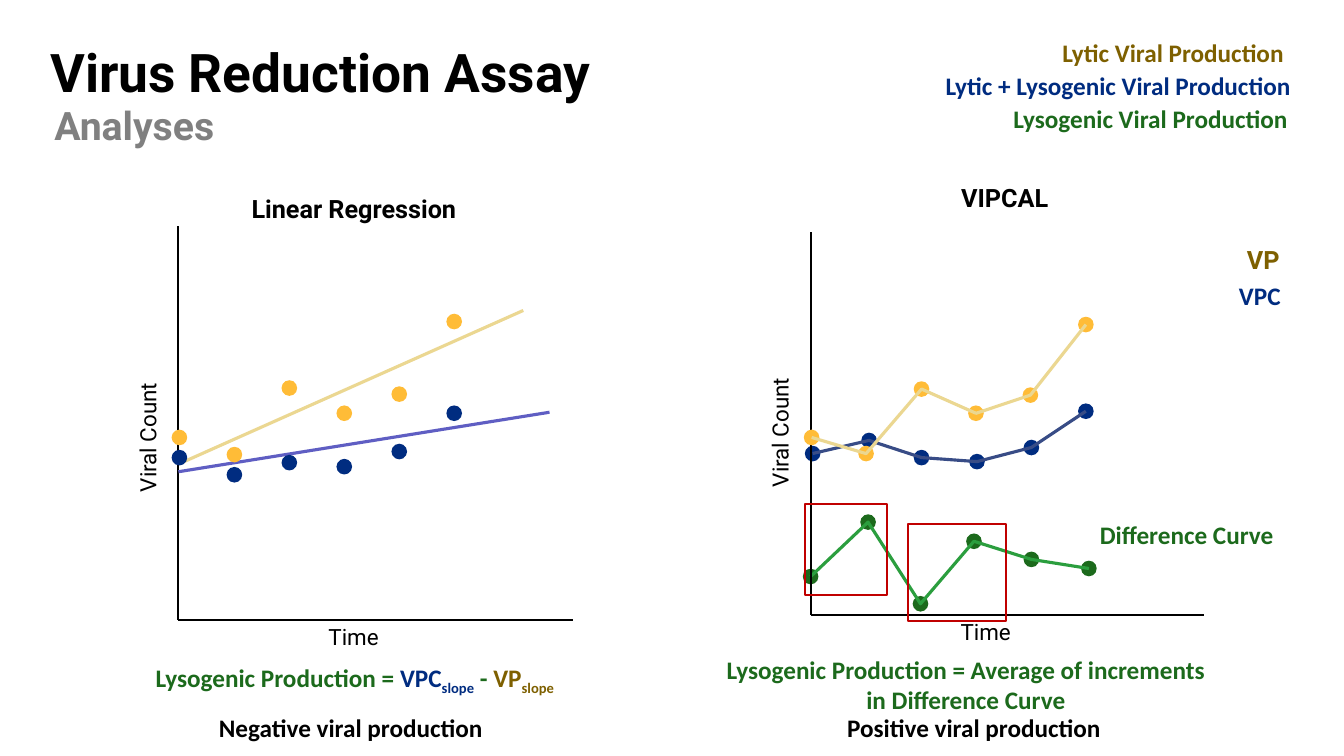
import dataclasses

import lxml.etree
import pptx
import pptx.dml.color
import pptx.enum.shapes
import pptx.enum.text
import pptx.oxml.ns
import pptx.util

ALIGN = pptx.enum.text.PP_ALIGN
ANCHOR = pptx.enum.text.MSO_ANCHOR


@dataclasses.dataclass(frozen=True)
class Theme:
    black: str = "000000"
    gray: str = "808080"
    lytic: str = "7E6000"
    total: str = "002C80"
    lysogenic: str = "1C6A1C"
    vp_dot: str = "FFBC37"
    vp_line: str = "EBD791"
    vpc_trend: str = "5F5EC3"
    vpc_line: str = "384C86"
    difference_line: str = "2B9E3E"
    highlight: str = "C00000"
    heading: str = "Roboto"
    body: str = "Calibri"
    title_size: float = 38
    subtitle_size: float = 28
    text_size: float = 18
    axis_size: float = 16
    axis_width: float = 1.42
    curve_width: float = 2.25
    frame_width: float = 1.5


@dataclasses.dataclass(frozen=True)
class Box:
    left: float
    top: float
    width: float
    height: float

    def at(self, x, height):
        """Grid position of a point given from the lower left corner."""
        return self.left + x, self.top + self.height - height


THEME = Theme()
DOT = 1.55  # dot diameter in grid units


def grid(units):
    """One grid column or row is a tenth of an inch."""
    return pptx.util.Inches(units / 10)


def rgb(color):
    return pptx.dml.color.RGBColor.from_string(color)


def add_text(slide, text, left, top, width, height=4, *, color=THEME.black, font=THEME.body,
             size=THEME.text_size, bold=True, align=ALIGN.CENTER, anchor=ANCHOR.TOP,
             wrap=True, rotation=0, line_spacing=None):
    """Text is a string or a list of (text, color, baseline) runs."""
    shape = slide.shapes.add_textbox(*map(grid, (left, top, width, height)))
    shape.rotation = rotation
    frame = shape.text_frame
    frame.word_wrap = wrap
    frame.vertical_anchor = anchor
    paragraph = frame.paragraphs[0]
    paragraph.alignment = align
    paragraph.line_spacing = line_spacing
    for words, run_color, baseline in [(text, color, 0)] if isinstance(text, str) else text:
        run = paragraph.add_run()
        run.text = words
        run.font.name, run.font.size, run.font.bold = font, pptx.util.Pt(size), bold
        run.font.color.rgb = rgb(run_color)
        if baseline:
            run.font._element.set("baseline", str(baseline * 1000))


def add_line(slide, start, end, color, width):
    connector = slide.shapes.add_connector(
        pptx.enum.shapes.MSO_CONNECTOR.STRAIGHT, *map(grid, (*start, *end)))
    connector.line.color.rgb = rgb(color)
    connector.line.width = pptx.util.Pt(width)
    properties = connector._element.spPr
    lxml.etree.SubElement(properties, pptx.oxml.ns.qn("a:effectLst"))


def outline(shape, color, width):
    shape.shadow.inherit = False
    shape.fill.background()
    shape.line.color.rgb = rgb(color)
    shape.line.width = pptx.util.Pt(width)


def add_dots(slide, box, points, color):
    for point in points:
        x, y = box.at(*point)
        dot = slide.shapes.add_shape(
            pptx.enum.shapes.MSO_SHAPE.OVAL,
            *map(grid, (x - DOT / 2, y - DOT / 2, DOT, DOT)))
        dot.shadow.inherit = False
        dot.fill.solid()
        dot.fill.fore_color.rgb = rgb(color)
        dot.line.fill.background()


def add_curve(slide, box, points, color):
    corners = [tuple(map(grid, box.at(*point))) for point in points]
    builder = slide.shapes.build_freeform(*corners[0])
    builder.add_line_segments(corners[1:], close=False)
    outline(builder.convert_to_shape(), color, THEME.curve_width)


def add_axes(slide, box):
    origin = box.at(0, 0)
    for end in (box.at(0, box.height), box.at(box.width, 0)):
        add_line(slide, origin, end, THEME.black, THEME.axis_width)
    label = dict(font=THEME.heading, size=THEME.axis_size, bold=False,
                 align=ALIGN.LEFT, wrap=False)
    add_text(slide, "Time", *box.at(13.9, 0.2), 7, 3.7, **label)
    add_text(slide, "Viral Count", *box.at(-9.7, 20.2), 13.3, 3.7, rotation=270, **label)


def add_header(slide, box):
    style = dict(font=THEME.heading, align=ALIGN.LEFT, anchor=ANCHOR.BOTTOM, line_spacing=0.9)
    add_text(slide, "Virus Reduction Assay", box.left, box.top, box.width, 7.6,
             size=THEME.title_size, **style)
    add_text(slide, "Analyses", box.left + 0.4, box.top + 4.5, box.width, 7.6,
             size=THEME.subtitle_size, color=THEME.gray, **style)


def add_legend(slide, box):
    right = box.left + box.width
    entries = [
        ("Lytic Viral Production", THEME.lytic, 26.3, 0, ALIGN.CENTER),
        ("Lytic + Lysogenic Viral Production", THEME.total, 37.2, 0, ALIGN.CENTER),
        ("Lysogenic Viral Production", THEME.lysogenic, 37.2, 0.8, ALIGN.RIGHT),
    ]
    for row, (text, color, width, inset, align) in enumerate(entries):
        add_text(slide, text, right - width - inset, box.top + 3.3 * row, width,
                 color=color, align=align)


def add_regression(slide, box):
    add_axes(slide, box)
    # Trend lines
    add_line(slide, box.at(0.1, 15.5), box.at(34.2, 30.7), THEME.vp_line, THEME.curve_width)
    add_line(slide, box.at(0, 14.7), box.at(36.8, 20.6), THEME.vpc_trend, THEME.curve_width)
    # Samples at equal time steps
    vp_heights = (18.1, 16.4, 23, 20.5, 22.4, 29.6)
    vpc_heights = (16.1, 14.4, 15.6, 15.2, 16.7, 20.5)
    for heights, color in ((vp_heights, THEME.vp_dot), (vpc_heights, THEME.total)):
        points = [(0.1 + 5.45 * step, height) for step, height in enumerate(heights)]
        add_dots(slide, box, points, color)
    # Heading and conclusion
    add_text(slide, "Linear Regression", *box.at(5.3, 42.8), 24.2, font=THEME.heading)
    formula = [
        ("Lysogenic Production = ", THEME.lysogenic, 0),
        ("VPC", THEME.total, 0), ("slope", THEME.total, -25),
        (" - ", THEME.lysogenic, 0),
        ("VP", THEME.lytic, 0), ("slope", THEME.lytic, -25),
    ]
    add_text(slide, formula, *box.at(-8.3, -3.7), 51.6)
    add_text(slide, "Negative viral production", *box.at(-8.7, -8.7), 51.6)


def add_vipcal(slide, box):
    vp = [(0.1, 17.6), (5.5, 16), (11, 22.4), (16.4, 20), (21.8, 21.8), (27.3, 28.8)]
    vpc = [(0.2, 16), (5.8, 17.3), (11, 15.6), (16.5, 15.2), (21.9, 16.6), (27.3, 20.2)]
    difference = [(0, 3.8), (5.7, 9.2), (10.9, 1.1), (16.2, 7.3), (21.9, 5.5), (27.6, 4.6)]
    # Curves
    add_dots(slide, box, vpc, THEME.total)
    add_dots(slide, box, difference, THEME.lysogenic)
    add_curve(slide, box, difference, THEME.difference_line)
    add_axes(slide, box)
    add_dots(slide, box, vp, THEME.vp_dot)
    add_curve(slide, box, vpc, THEME.vpc_line)
    add_curve(slide, box, vp, THEME.vp_line)
    # Frames around the increments
    for x, height, frame_width, frame_height in ((9.7, 9, 9.7, 9.6), (-0.6, 11, 8.2, 9)):
        frame = slide.shapes.add_shape(
            pptx.enum.shapes.MSO_SHAPE.RECTANGLE,
            *map(grid, (*box.at(x, height), frame_width, frame_height)))
        outline(frame, THEME.highlight, THEME.frame_width)
    # Curve names
    add_text(slide, "VP", *box.at(40.7, 37.3), 8.4, color=THEME.lytic, font=THEME.heading)
    add_text(slide, "VPC", *box.at(40.9, 33.7), 6.7, color=THEME.total, align=ALIGN.RIGHT)
    add_text(slide, "Difference Curve", *box.at(27.7, 10), 21.3,
             color=THEME.lysogenic, align=ALIGN.LEFT)
    # Heading and conclusion
    add_text(slide, "VIPCAL", *box.at(10.7, 43.4), 17.1, font=THEME.heading)
    add_text(slide, "Lysogenic Production = Average of increments in Difference Curve",
             *box.at(-10.4, -3.4), 51.6, 7.1, color=THEME.lysogenic)
    add_text(slide, "Positive viral production", *box.at(-9.6, -9.2), 51.6)


def main():
    presentation = pptx.Presentation()
    presentation.slide_width = pptx.util.Inches(13.33)
    presentation.slide_height = pptx.util.Inches(7.5)
    slide = presentation.slides.add_slide(presentation.slide_layouts[6])
    add_regression(slide, Box(17.7, 22.4, 39.1, 39.1))
    add_vipcal(slide, Box(80.4, 23, 39, 38))
    add_header(slide, Box(4, 3.2, 60.2, 12.1))
    add_legend(slide, Box(92.3, 3.2, 37.2, 10.6))
    presentation.save("out.pptx")


if __name__ == "__main__":
    main()
